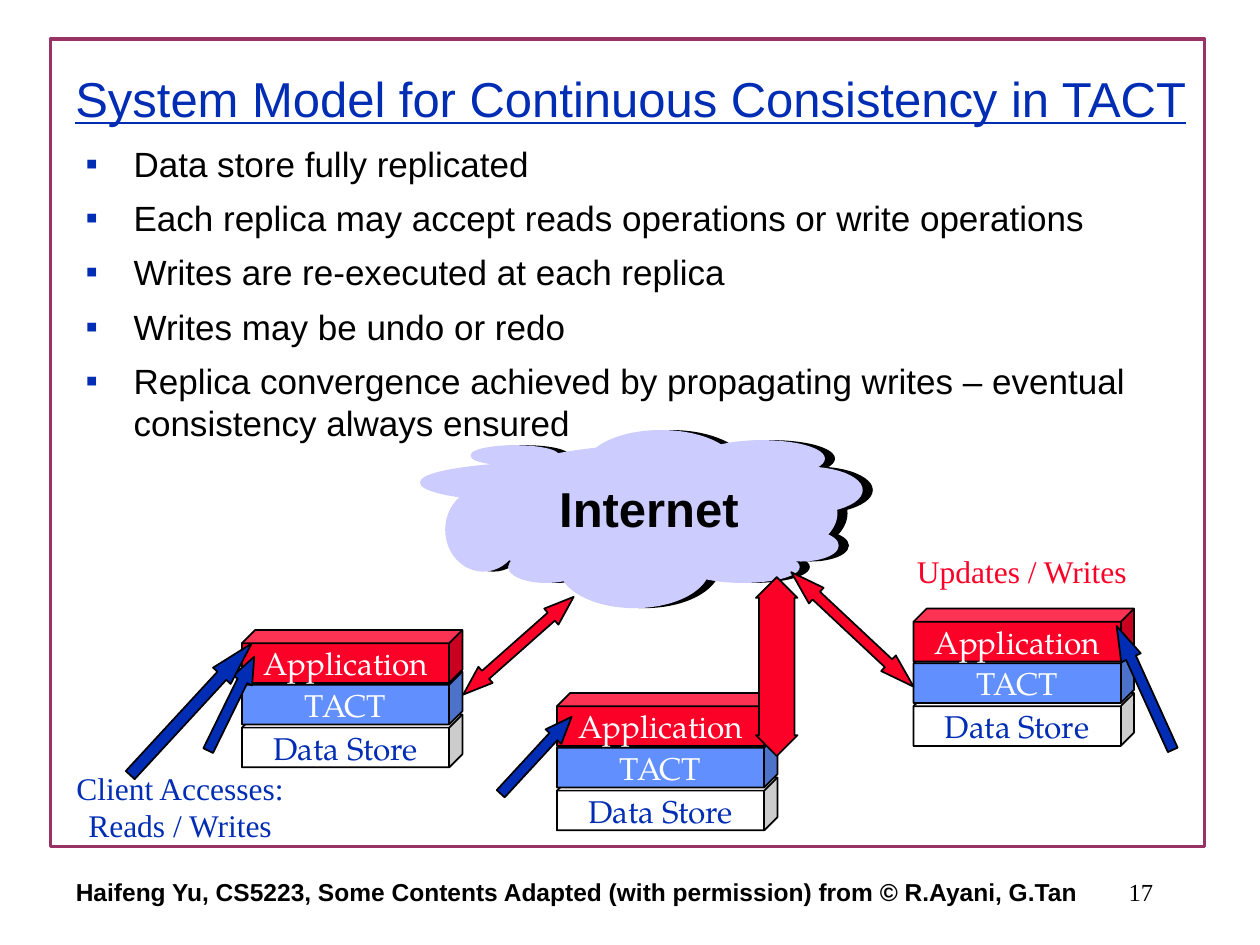
from lxml import etree
from pptx import Presentation
from pptx import util as u
from pptx.dml.color import RGBColor
from pptx.enum import shapes, text
from pptx.oxml import ns

COLORS = {"frame": "993366", "blue": "002DB4", "black": "000000", "white": "FFFFFF",
          "red": "FC0128", "sky": "618FFD", "cloud": "CCCCFF"}
KINDS = shapes.MSO_SHAPE
CENTER, RIGHT, LEFT = text.PP_ALIGN.CENTER, text.PP_ALIGN.RIGHT, text.PP_ALIGN.LEFT


def write(box, lines, color, align=CENTER, wrap=False, anchor=text.MSO_ANCHOR.MIDDLE, **font):
    frame = box.text_frame
    layout = {"word_wrap": wrap, "vertical_anchor": anchor, "auto_size": text.MSO_AUTO_SIZE.NONE}
    for name, value in layout.items():
        setattr(frame, name, value)
    for index, line in enumerate(lines):
        para = frame.paragraphs[0] if index == 0 else frame.add_paragraph()
        para.alignment = align
        span = para.add_run()
        span.text = line
        for name, value in font.items():
            setattr(span.font, name, value)
        span.font.color.rgb = RGBColor.from_string(COLORS[color])


def draw(parent, kind, place, fill, line="black", width=1, rotation=0, adjust=()):
    shape = parent.add_shape(kind, *map(u.Inches, place))
    shape.shadow.inherit = False
    if fill:
        shape.fill.solid()
        shape.fill.fore_color.rgb = RGBColor.from_string(COLORS[fill])
    else:
        shape.fill.background()
    shape.line.color.rgb = RGBColor.from_string(COLORS[line])
    shape.line.width = u.Pt(width)
    shape.rotation = rotation
    for index, value in enumerate(adjust):
        shape.adjustments[index] = value
    return shape


deck = Presentation()
deck.slide_width, deck.slide_height = u.Inches(10), u.Inches(7.5)
page = deck.slides.add_slide(deck.slide_layouts[1])
title, body = page.placeholders

draw(page.shapes, KINDS.RECTANGLE, (0.4, 0.31, 9.16, 6.41), None, "frame", 2)

for holder, place in ((title, (0.42, 0.32, 9.17, 0.92)), (body, (0.58, 1.08, 8.58, 2.92))):
    holder.left, holder.top, holder.width, holder.height = map(u.Inches, place)
write(title, ["System Model for Continuous Consistency in TACT"], "blue", wrap=True,
      size=u.Pt(28), name="Arial", underline=True)
write(body, ["Data store fully replicated",
             "Each replica may accept reads operations or write operations",
             "Writes are re-executed at each replica",
             "Writes may be undo or redo",
             "Replica convergence achieved by propagating writes – eventual consistency always ensured"],
      "black", LEFT, True, text.MSO_ANCHOR.TOP, size=u.Pt(20), name="Arial")
for index, para in enumerate(body.text_frame.paragraphs):
    props = para._p.get_or_add_pPr()
    props.set("marL", str(u.Inches(0.38)))
    props.set("indent", str(-u.Inches(0.38)))
    tint = etree.SubElement(props, ns.qn("a:buClr"))
    etree.SubElement(tint, ns.qn("a:srgbClr"), val=COLORS["blue"])
    etree.SubElement(props, ns.qn("a:buChar"), char="▪")
    para.space_before = u.Pt(7 if index else 0)

cloud = page.shapes.add_group_shape()
puffs = [(3.64, 3.54, 3, 1.07), (3.74, 3.54, 0.69, 0.15), (5.55, 3.5, 0.99, 0.28),
         (4.65, 3.42, 1.19, 0.57), (3.34, 3.67, 2.2, 0.32), (4.44, 4.17, 1.19, 0.65),
         (5.95, 3.71, 0.89, 0.36), (3.54, 3.88, 0.59, 0.65), (6.06, 4.21, 0.59, 0.24),
         (4.04, 4.38, 0.59, 0.24), (5.45, 4.38, 0.89, 0.24)]
for color, shift in (("black", 0.08), ("cloud", 0)):
    for left, top, width, height in puffs:
        draw(cloud.shapes, KINDS.OVAL, (left + shift, top, width, height), color, color)

layers = [("Data Store", "white", "blue", 0.67), ("TACT", "sky", "white", 0.33),
          ("Application", "red", "white", 0)]
for left, top in ((1.92, 5), (4.42, 5.5), (7.25, 4.83)):
    replica = page.shapes.add_group_shape()
    for label, fill, ink, drop in layers:
        cube = draw(replica.shapes, KINDS.CUBE, (left, top + drop, 1.75, 0.42), fill, adjust=[0.25])
        write(cube, [label], ink, size=u.Pt(18), name="TeX Gyre Pagella")

arrows = [
    (KINDS.LEFT_RIGHT_ARROW, (3.53, 5.04, 1.17, 0.17), "red", 318.5, 1.39),
    (KINDS.LEFT_RIGHT_ARROW, (6.1, 4.91, 1.33, 0.17), "red", 223.1, 1.6),
    (KINDS.UP_DOWN_ARROW, (6, 4.58, 0.33, 1.42), "red", 0, 0.85),
    (KINDS.UP_ARROW, (4.17, 5.58, 0.17, 0.83), "blue", 42.7, 1.25),
    (KINDS.UP_ARROW, (1.75, 5.17, 0.17, 0.83), "blue", 26.1, 1.25),
    (KINDS.UP_ARROW, (1.42, 4.92, 0.19, 1.42), "blue", 42.7, 1.83),
    (KINDS.UP_ARROW, (9, 4.92, 0.17, 1.08), "blue", 335.6, 1.63),
]
for kind, place, fill, rotation, head in arrows:
    draw(page.shapes, kind, place, fill, rotation=rotation, adjust=[0.5, head])

captions = [
    ((7.17, 6.83, 2.08, 0.5), ["17"], "black", RIGHT, 14, "Times New Roman", False),
    ((0.33, 6.83, 8.5, 0.5),
     ["Haifeng Yu, CS5223, Some Contents Adapted (with permission) from © R.Ayani, G.Tan"],
     "black", CENTER, 14, "Arial", True),
    ((7.17, 4.33, 1.88, 0.4), ["Updates / Writes"], "red", CENTER, 18, "Times New Roman", False),
    ((0.5, 6.05, 1.86, 0.7), ["Client Accesses:", "Reads / Writes"], "blue", CENTER, 18,
     "Times New Roman", False),
    ((4.34, 3.75, 1.63, 0.57), ["Internet"], "black", LEFT, 28, "Arial", True),
]
for place, lines, color, align, size, name, bold in captions:
    box = page.shapes.add_textbox(*map(u.Inches, place))
    write(box, lines, color, align, size=u.Pt(size), name=name, bold=bold)

deck.save("out.pptx")
